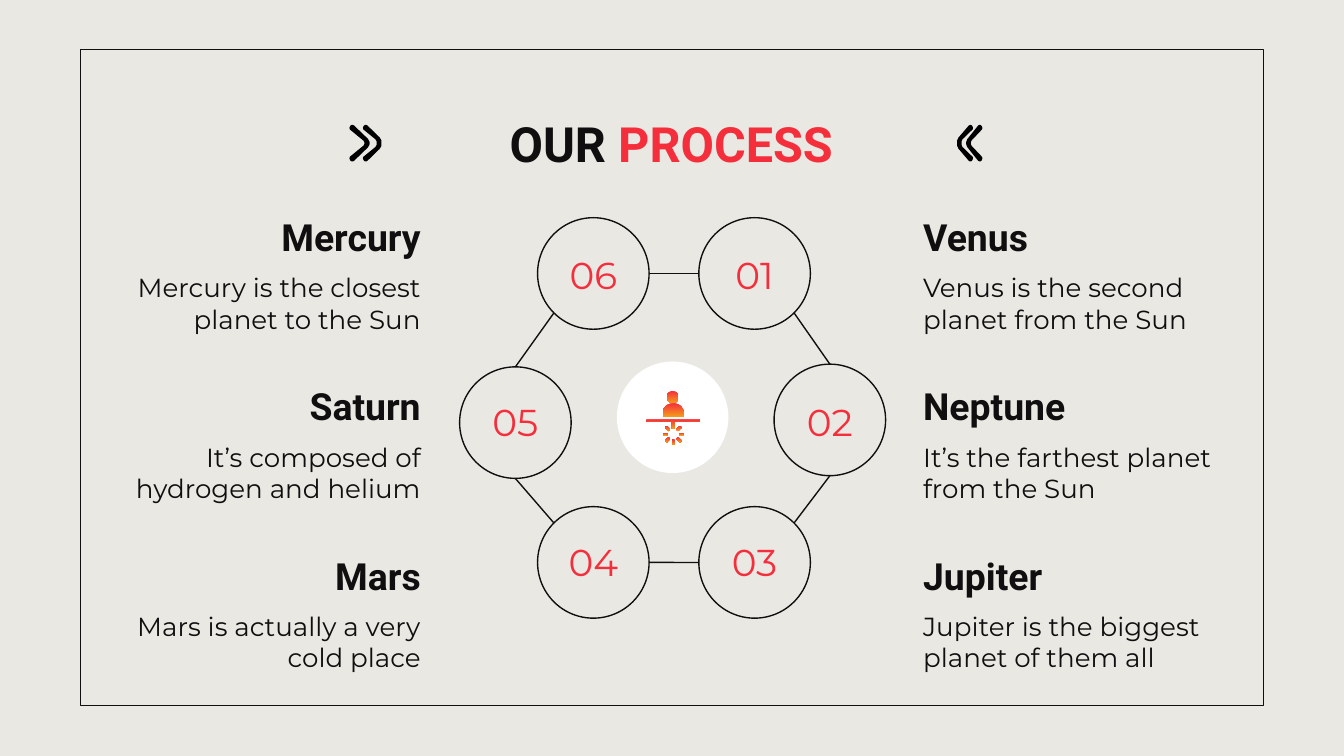
from dataclasses import dataclass
from math import cos, pi, radians, sin

from lxml import etree
from pptx import Presentation
from pptx.dml.color import RGBColor
from pptx.enum.shapes import MSO_CONNECTOR, MSO_SHAPE
from pptx.enum.text import MSO_ANCHOR, PP_ALIGN
from pptx.oxml.ns import qn
from pptx.util import Inches, Pt

STRAIGHT, CURVE = MSO_CONNECTOR.STRAIGHT, MSO_CONNECTOR.CURVE
RECTANGLE, OVAL = MSO_SHAPE.RECTANGLE, MSO_SHAPE.OVAL
LEFT, CENTER, RIGHT = PP_ALIGN.LEFT, PP_ALIGN.CENTER, PP_ALIGN.RIGHT
MIDDLE = MSO_ANCHOR.MIDDLE


@dataclass(frozen=True)
class Theme:
    background: RGBColor = RGBColor.from_string("E9E8E3")
    ink: RGBColor = RGBColor.from_string("100E0E")
    accent: RGBColor = RGBColor.from_string("F52E3C")
    glow: RGBColor = RGBColor.from_string("F59A1B")
    white: RGBColor = RGBColor.from_string("FFFFFF")
    black: RGBColor = RGBColor.from_string("000000")
    heading_font: str = "Roboto"
    body_font: str = "Montserrat"
    title_size: float = 26
    heading_size: float = 20
    body_size: float = 14
    thin: float = 0.75
    thick: float = 1.5


class SlideBuilder:
    def __init__(self, slide, theme):
        self.slide = slide
        self.theme = theme
        slide.background.fill.solid()
        slide.background.fill.fore_color.rgb = theme.background

    def paint(self, shape, fill=None, line=None, width=None):
        """Fill with one colour, a (top, bottom) gradient or nothing."""
        shape.shadow.inherit = False
        if fill is None:
            shape.fill.background()
        elif isinstance(fill, RGBColor):
            shape.fill.solid()
            shape.fill.fore_color.rgb = fill
        else:
            shape.fill.gradient()
            shape.fill.gradient_angle = 270
            for stop, color, position in zip(shape.fill.gradient_stops, fill, (0, 1)):
                stop.color.rgb = color
                stop.position = position
        if line is None:
            shape.line.fill.background()
        else:
            shape.line.color.rgb = line
            shape.line.width = Pt(width or self.theme.thin)

    def shape(self, kind, left, top, width, height, **paint):
        box = [Inches(v) for v in (left, top, width, height)]
        self.paint(self.slide.shapes.add_shape(kind, *box), **paint)

    def polygon(self, points, **paint):
        start, *rest = [(Inches(x), Inches(y)) for x, y in points]
        outline = self.slide.shapes.build_freeform(*start)
        outline.add_line_segments(rest, close=True)
        self.paint(outline.convert_to_shape(), **paint)

    def text(self, left, top, width, height, parts, size, font, align, bold=False):
        """Write one paragraph from (wording, colour) parts."""
        box = self.slide.shapes.add_textbox(*[Inches(v) for v in (left, top, width, height)])
        frame = box.text_frame
        frame.word_wrap = True
        frame.vertical_anchor = MIDDLE
        frame.margin_left = frame.margin_right = Inches(0.1)
        frame.margin_top = frame.margin_bottom = Inches(0.1)
        paragraph = frame.paragraphs[0]
        paragraph.alignment = align
        for wording, color in parts:
            run = paragraph.add_run()
            run.text = wording
            run.font.size = Pt(size)
            run.font.name = font
            run.font.bold = bold
            run.font.color.rgb = color

    def link(self, start, end, kind):
        ends = [Inches(v) for v in (*start, *end)]
        connector = self.slide.shapes.add_connector(kind, *ends)
        connector.line.color.rgb = self.theme.ink
        connector.line.width = Pt(self.theme.thin)
        properties = connector._element.spPr
        etree.SubElement(properties, qn("a:effectLst"))

    def chevron(self, left, width, upper_edge, direction):
        """Mirror the upper edge of a '>' downwards; direction -1 makes it a '<'."""
        top, height = 0.94, 0.25
        edge = upper_edge + [(x, 1 - y) for x, y in reversed(upper_edge)]
        inner = [(x - 0.13, y) for x, y in edge]
        outline = [(0.05, 0), (0.13, 0)] + edge + [(0.13, 1), (0.05, 1), (0, 0.94)]
        outline += inner[::-1] + [(0, 0.06)]
        if direction < 0:
            outline = [(1 - x, y) for x, y in outline]
        points = [(left + x * width, top + y * height) for x, y in outline]
        self.polygon(points, fill=self.theme.ink, line=self.theme.black, width=self.theme.thick)


NODE_SIZE = 0.83
# number: (left, top, label top)
NODES = {
    "01": (5.2, 1.62, 1.86),
    "02": (5.76, 2.71, 2.95),
    "03": (5.2, 3.77, 3.99),
    "04": (4, 3.77, 3.99),
    "05": (3.42, 2.73, 2.95),
    "06": (4, 1.62, 1.86),
}
# Angles run clockwise from the right side of a node.
LINKS = [
    ("06", 0, "01", 180, CURVE),
    ("01", 45, "02", 270, STRAIGHT),
    ("02", 90, "03", 315, STRAIGHT),
    ("03", 180, "04", 0, CURVE),
    ("04", 225, "05", 90, STRAIGHT),
    ("05", 270, "06", 135, STRAIGHT),
]
LEFT_PLANETS = [
    ("Mercury", "Mercury is the closest planet to the Sun"),
    ("Saturn", "It’s composed of hydrogen and helium"),
    ("Mars", "Mars is actually a very cold place"),
]
RIGHT_PLANETS = [
    ("Venus", "Venus is the second planet from the Sun"),
    ("Neptune", "It’s the farthest planet from the Sun"),
    ("Jupiter", "Jupiter is the biggest planet of them all"),
]
ROUND_EDGE = [(0.9, 0.36), (0.98, 0.43)]
SHARP_EDGE = [(0.93, 0.4), (1, 0.47)]


def node_point(number, angle):
    left, top, _ = NODES[number]
    radius, turn = NODE_SIZE / 2, radians(angle)
    return left + radius * (1 + cos(turn)), top + radius * (1 + sin(turn))


def draw_ring(builder):
    theme = builder.theme
    for number, (left, top, label_top) in NODES.items():
        builder.shape(OVAL, left, top, NODE_SIZE, NODE_SIZE, line=theme.ink)
        builder.text(left, label_top, NODE_SIZE, 0.37, [(number, theme.accent)],
                     theme.heading_size, theme.body_font, CENTER)
    for start, start_angle, end, end_angle, kind in LINKS:
        builder.link(node_point(start, start_angle), node_point(end, end_angle), kind)


def draw_planets(builder, planets, heading_left, body_left, align):
    theme = builder.theme
    for row, (name, fact) in enumerate(planets):
        top = 1.47 + 1.26 * row
        builder.text(heading_left, top, 2.17, 0.58, [(name, theme.ink)],
                     theme.heading_size, theme.heading_font, align, bold=True)
        builder.text(body_left, top + 0.52, 2.45, 0.53, [(fact, theme.ink)],
                     theme.body_size, theme.body_font, align)


def draw_person_icon(builder):
    theme = builder.theme
    glow = (theme.accent, theme.glow)
    builder.shape(OVAL, 4.59, 2.69, NODE_SIZE, NODE_SIZE, fill=theme.white)
    center_x, sun_y = 5.01, 3.23
    arc = [pi + pi * step / 12 for step in range(13)]
    shoulders = [(center_x + 0.08 * cos(a), 3.08 + 0.08 * sin(a)) for a in arc]
    builder.polygon([(4.93, 3.1), *shoulders, (5.09, 3.1)], fill=glow)
    builder.shape(OVAL, 4.96, 2.91, 0.09, 0.09, fill=glow)
    builder.polygon([(4.81, 3.12), (4.81, 3.14), (5, 3.14), (5, 3.19),
                     (5.02, 3.19), (5.02, 3.14), (5.21, 3.14), (5.21, 3.12)], fill=glow)
    ray = [(0.04, -0.01), (0.08, -0.01), (0.08, 0.01), (0.04, 0.01)]
    for turn in [radians(45 * step) for step in range(8) if step != 6]:
        builder.polygon([(center_x + x * cos(turn) - y * sin(turn),
                          sun_y + x * sin(turn) + y * cos(turn)) for x, y in ray], fill=glow)


def main():
    presentation = Presentation()
    presentation.slide_width = Inches(10)
    presentation.slide_height = Inches(10) * 9 // 16
    theme = Theme()
    builder = SlideBuilder(presentation.slides.add_slide(presentation.slide_layouts[6]), theme)
    builder.shape(RECTANGLE, 0.6, 0.37, 8.8, 4.88, line=theme.ink)
    builder.text(2.35, 0.75, 5.29, 0.63, [("OUR ", theme.ink), ("PROCESS", theme.accent)],
                 theme.title_size, theme.heading_font, CENTER, bold=True)
    builder.chevron(2.61, 0.13, SHARP_EDGE, 1)
    builder.chevron(2.71, 0.12, ROUND_EDGE, 1)
    builder.chevron(7.13, 0.1, ROUND_EDGE, -1)
    builder.chevron(7.2, 0.1, SHARP_EDGE, -1)
    draw_ring(builder)
    draw_planets(builder, LEFT_PLANETS, 1.06, 0.78, RIGHT)
    draw_planets(builder, RIGHT_PLANETS, 6.77, 6.77, LEFT)
    draw_person_icon(builder)
    presentation.save("out.pptx")


if __name__ == "__main__":
    main()
